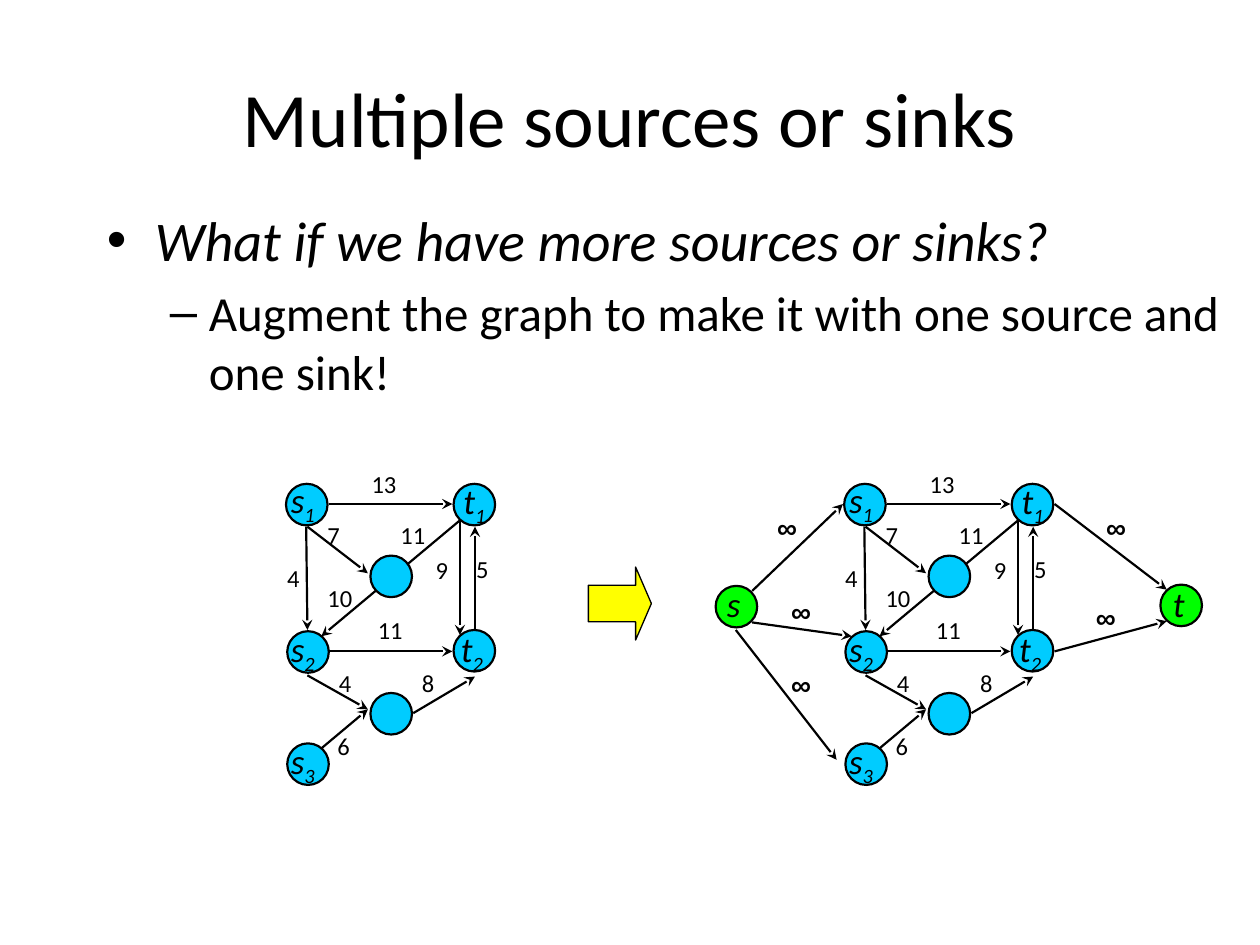
from typing import NamedTuple

from lxml import etree
from pptx import Presentation
from pptx import util as u
from pptx.dml.color import RGBColor
from pptx.enum import shapes, text
from pptx.oxml.ns import qn

PX = 9144
BLACK, BLUE, GREEN, YELLOW = "000000", "00CCFF", "00FF00", "FFFF00"
SHIFT = 443


class Node(NamedTuple):
    x: int
    y: int
    name: str = ""
    sub: str = ""
    tx: int = 0
    ty: int = 0
    wide: int = 0


class Edge(NamedTuple):
    x1: int
    y1: int
    x2: int
    y2: int


class Cost(NamedTuple):
    x: int
    y: int
    word: str


NODES = [
    Node(227, 384, "s", "1", 221, 375, 46),
    Node(360, 384, "t", "1", 358, 376, 43),
    Node(228, 501, "s", "2", 221, 493, 46),
    Node(360, 500, "t", "2", 356, 493, 43),
    Node(228, 590, "s", "3", 221, 582, 46),
    Node(294, 441),
    Node(294, 550),
]
EDGES = [
    Edge(261, 400, 359, 400), Edge(261, 517, 359, 517),
    Edge(377, 499, 377, 418), Edge(243, 418, 244, 500),
    Edge(365, 413, 255, 505), Edge(365, 413, 365, 504),
    Edge(244, 418, 292, 455), Edge(244, 536, 292, 563),
    Edge(255, 594, 292, 563), Edge(328, 566, 377, 537),
]
COSTS = [
    Cost(285, 367, "13"), Cost(290, 483, "11"), Cost(368, 435, "5"),
    Cost(218, 442, "4"), Cost(250, 458, "10"), Cost(336, 436, "9"),
    Cost(308, 408, "11"), Cost(250, 408, "7"), Cost(259, 525, "4"),
    Cost(258, 575, "6"), Cost(325, 525, "8"),
]
ENDS = [
    Node(568, 465, "s", "", 567, 457, 35),
    Node(921, 464, "t", "", 921, 457, 31),
]
LINKS = [
    Edge(597, 469, 669, 400), Edge(597, 494, 676, 505),
    Edge(584, 500, 664, 603), Edge(837, 400, 926, 468),
    Edge(837, 517, 926, 493),
]
INFS = [
    Cost(868, 400, "∞"), Cost(860, 472, "∞"), Cost(618, 525, "∞"),
    Cost(618, 467, "∞"), Cost(607, 400, "∞"),
]


def paint(hue: str) -> RGBColor:
    return RGBColor.from_string(hue)


def style(run, size: int, face: str = "Calibri", bold: bool = False,
          slant: bool = False) -> None:
    font = run.font
    font.size, font.name = u.Pt(size), face
    font.bold, font.italic = bold, slant
    font.color.rgb = paint(BLACK)


def add_box(pen, x: int, y: int, w: int, h: int, wrap: bool = False):
    frame = pen.add_textbox(x * PX, y * PX, w * PX, h * PX).text_frame
    frame.word_wrap = wrap
    if not wrap:
        frame.auto_size = text.MSO_AUTO_SIZE.SHAPE_TO_FIT_TEXT
    return frame


def add_form(pen, kind, x: int, y: int, w: int, h: int, hue: str,
             line: float):
    form = pen.add_shape(kind, x * PX, y * PX, w * PX, h * PX)
    form.shadow.inherit = False
    form.fill.solid()
    form.fill.fore_color.rgb = paint(hue)
    form.line.color.rgb = paint(BLACK)
    form.line.width = u.Pt(line)
    return form


def add_edge(pen, edge: Edge, dx: int = 0) -> None:
    line = pen.add_connector(
        shapes.MSO_CONNECTOR.STRAIGHT, (edge.x1 + dx) * PX, edge.y1 * PX,
        (edge.x2 + dx) * PX, edge.y2 * PX)
    line.line.color.rgb = paint(BLACK)
    line.line.width = u.Pt(1.25)
    tip = etree.SubElement(line.line._get_or_add_ln(), qn("a:tailEnd"))
    tip.set("type", "stealth")
    etree.SubElement(line._element.spPr, qn("a:effectLst"))


def add_node(pen, node: Node, hue: str, dx: int = 0) -> None:
    add_form(pen, shapes.MSO_SHAPE.OVAL, node.x + dx, node.y, 33, 33, hue, 1.25)
    if not node.name:
        return
    para = add_box(pen, node.tx + dx, node.ty, node.wide, 43).paragraphs[0]
    for part in filter(None, (node.name, node.sub)):
        run = para.add_run()
        run.text = part
        style(run, 20, slant=True)
        if part == node.sub:
            run._r.get_or_add_rPr().set("baseline", "-25000")


def add_cost(pen, cost: Cost, dx: int = 0) -> None:
    wide = 45 if len(cost.word) > 1 else 32
    frame = add_box(pen, cost.x + dx, cost.y, wide, 33)
    frame.text = cost.word
    style(frame.paragraphs[0].runs[0], 14)


def add_inf(pen, cost: Cost) -> None:
    frame = add_box(pen, cost.x, cost.y, 36, 37)
    frame.text = cost.word
    style(frame.paragraphs[0].runs[0], 16, "Arial", bold=True)


def add_graph(pen, dx: int = 0) -> None:
    for edge in EDGES:
        add_edge(pen, edge, dx)
    for node in NODES:
        add_node(pen, node, BLUE, dx)
    for cost in COSTS:
        add_cost(pen, cost, dx)


def add_point(para, word: str, mark: str, size: int, left: int, hang: int,
              slant: bool) -> None:
    para.text = word
    para.space_before = u.Pt(size * 0.2)
    style(para.runs[0], size, slant=slant)
    props = para._p.get_or_add_pPr()
    props.set("marL", str(left * PX))
    props.set("indent", str(-hang * PX))
    etree.SubElement(props, qn("a:buFont")).set("typeface", "Arial")
    etree.SubElement(props, qn("a:buChar")).set("char", mark)


def add_words(pen) -> None:
    title = add_box(pen, 50, 30, 900, 125, True)
    title.vertical_anchor = text.MSO_ANCHOR.MIDDLE
    title.text = "Multiple sources or sinks"
    title.paragraphs[0].alignment = text.PP_ALIGN.CENTER
    style(title.paragraphs[0].runs[0], 44)
    body = add_box(pen, 75, 158, 912, 167, True)
    add_point(body.paragraphs[0], "What if we have more sources or sinks?",
              "•", 32, 38, 38, True)
    point = body.add_paragraph()
    point.level = 1
    add_point(point, "Augment the graph to make it with one source and one sink!",
              "–", 28, 81, 31, False)


def main() -> None:
    deck = Presentation()
    deck.slide_width, deck.slide_height = 1000 * PX, 750 * PX
    slide = deck.slides.add_slide(deck.slide_layouts[6])
    add_words(slide.shapes)
    add_graph(slide.shapes.add_group_shape().shapes)
    pen = slide.shapes.add_group_shape().shapes
    for edge in LINKS:
        add_edge(pen, edge)
    add_graph(pen, SHIFT)
    for node in ENDS:
        add_node(pen, node, GREEN)
    for cost in INFS:
        add_inf(pen, cost)
    arrow = add_form(pen, shapes.MSO_SHAPE.RIGHT_ARROW, 467, 450, 50, 58,
                     YELLOW, 0.75)
    arrow.adjustments[0], arrow.adjustments[1] = 0.5, 0.25
    deck.save("out.pptx")


if __name__ == "__main__":
    main()
